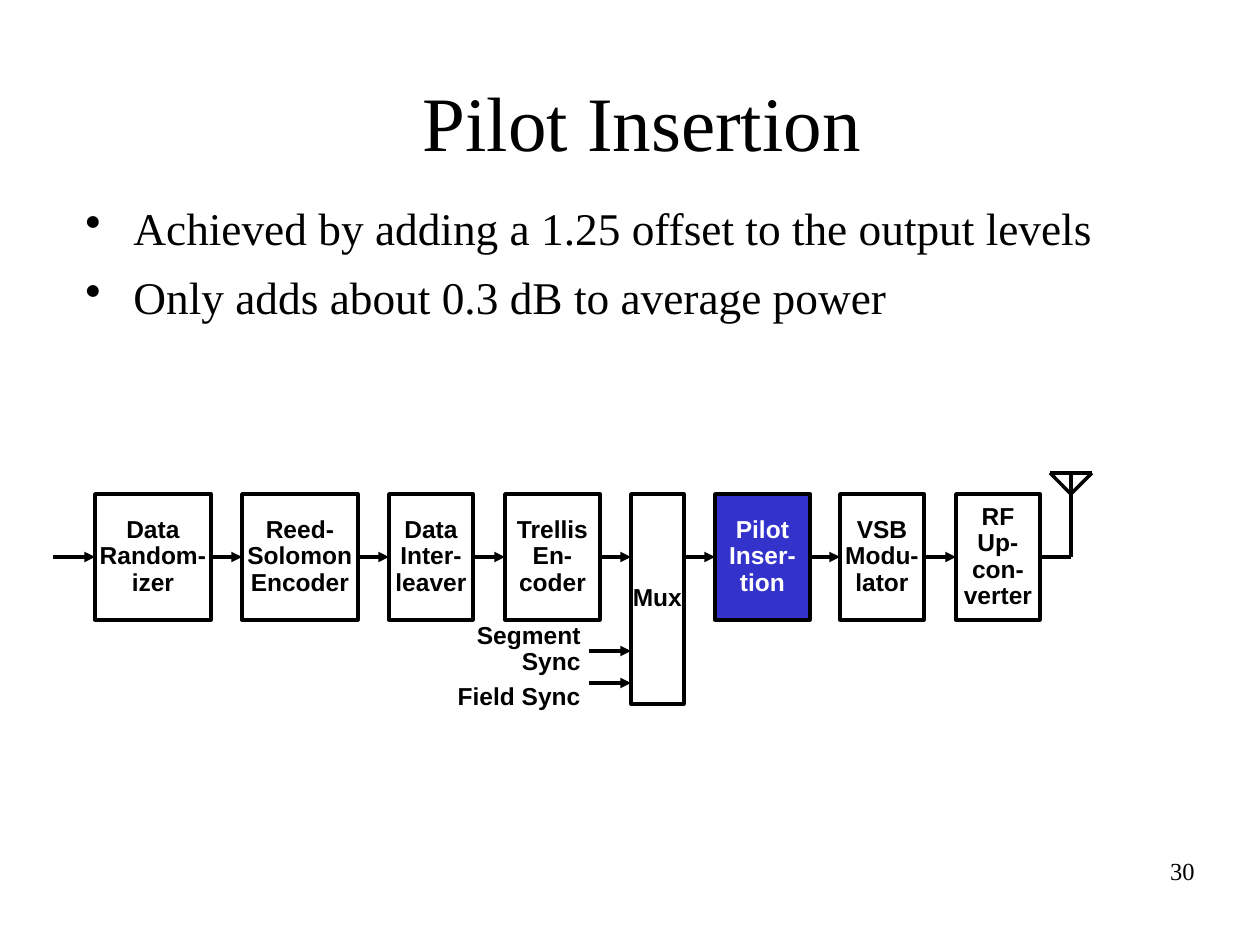
"""Build the Pilot Insertion slide with its transmitter block diagram."""
import lxml.etree
import pptx
import pptx.dml.color
import pptx.enum.shapes
import pptx.enum.text
import pptx.oxml.ns
import pptx.util

PX = 7257
BLACK, WHITE, BLUE = "000000", "FFFFFF", "3333CC"
SERIF, SANS = "Times New Roman", "Arial"
ALIGN = pptx.enum.text.PP_ALIGN
MIDDLE = pptx.enum.text.MSO_ANCHOR.MIDDLE
colour = pptx.dml.color.RGBColor.from_string
qn = pptx.oxml.ns.qn


def write(frame, lines, size, font, align, ink=BLACK, bold=False, spacing=None, gap=0):
    for index, line in enumerate(lines):
        para = frame.paragraphs[0] if index == 0 else frame.add_paragraph()
        para.alignment = align
        para.line_spacing = spacing
        if index and gap:
            para.space_before = pptx.util.Pt(gap)
        span = para.add_run()
        span.text = line
        span.font.size = pptx.util.Pt(size)
        span.font.name = font
        span.font.bold = bold
        span.font.color.rgb = colour(ink)


def draw_line(x1, y1, x2, y2, arrow=False):
    line = page.shapes.add_connector(
        pptx.enum.shapes.MSO_CONNECTOR.STRAIGHT, x1 * PX, y1 * PX, x2 * PX, y2 * PX)
    line.line.width = pptx.util.Pt(2)
    line.line.color.rgb = colour(BLACK)
    if arrow:
        lxml.etree.SubElement(line.line._get_or_add_ln(), qn("a:tailEnd"), type="triangle")
    lxml.etree.SubElement(line._element.spPr, qn("a:effectLst"))


deck = pptx.Presentation()
deck.slide_width = pptx.util.Inches(10)
deck.slide_height = pptx.util.Inches(7.5)
page = deck.slides.add_slide(deck.slide_layouts[6])

title = page.shapes.add_textbox(53 * PX, 42 * PX, 1178 * PX, 158 * PX).text_frame
title.word_wrap = True
title.vertical_anchor = MIDDLE
write(title, ["Pilot Insertion"], 44, SERIF, ALIGN.CENTER)

body = page.shapes.add_textbox(73 * PX, 189 * PX, 1103 * PX, 158 * PX).text_frame
body.word_wrap = True
body.margin_top = 11 * PX
write(body, ["Achieved by adding a 1.25 offset to the output levels",
             "Only adds about 0.3 dB to average power"], 25.9, SERIF, ALIGN.LEFT, gap=8.5)
for para in body.paragraphs:
    properties = para._p.get_or_add_pPr()
    properties.set("marL", str(48 * PX))
    properties.set("indent", str(-48 * PX))
    lxml.etree.SubElement(properties, qn("a:buChar"), char="•")

top, middle = 494, 557
blocks = [
    (95, 116, 126, 42, ["Data", "Random-", "izer"]),
    (242, 116, 126, 31, ["Reed-", "Solomon", "Encoder"]),
    (389, 84, 126, 31, ["Data", "Inter-", "leaver"]),
    (505, 95, 126, 42, ["Trellis", "En-", "coder"]),
    (631, 53, 210, 42, ["Mux"]),
    (715, 95, 126, 42, ["Pilot", "Inser-", "tion"]),
    (840, 84, 126, 42, ["VSB", "Modu-", "lator"]),
    (956, 84, 126, 42, ["RF", "Up-", "con-", "verter"]),
]
for left, width, height, reach, words in blocks:
    draw_line(left - reach, middle, left, middle, arrow=True)
draw_line(1029, middle, 1071, middle)

for left, width, height, reach, words in blocks:
    active = words[0] == "Pilot"
    block = page.shapes.add_shape(
        pptx.enum.shapes.MSO_SHAPE.RECTANGLE, left * PX, top * PX, width * PX, height * PX)
    block.shadow.inherit = False
    block.fill.solid()
    block.fill.fore_color.rgb = colour(BLUE if active else WHITE)
    block.line.color.rgb = colour(BLACK)
    block.line.width = pptx.util.Pt(2)
    block.text_frame.word_wrap = False
    block.text_frame.vertical_anchor = MIDDLE
    write(block.text_frame, words, 14, SANS, ALIGN.CENTER,
          WHITE if active else BLACK, bold=True, spacing=0.9)

for sync_y in (651, 683):
    draw_line(589, sync_y, 631, sync_y, arrow=True)

for antenna in ((1050, 473, 1071, 494), (1092, 473, 1071, 494),
                (1050, 473, 1092, 473), (1071, middle, 1071, 473)):
    draw_line(*antenna)

sync = page.shapes.add_textbox(399 * PX, 630 * PX, 194 * PX, 74 * PX).text_frame
sync.word_wrap = False
sync.vertical_anchor = MIDDLE
write(sync, ["Segment Sync", "Field Sync"], 14, SANS, ALIGN.RIGHT,
      bold=True, spacing=0.9, gap=5)

number = page.shapes.add_textbox(945 * PX, 850 * PX, 262 * PX, 63 * PX).text_frame
number.word_wrap = True
write(number, ["30"], 14, SERIF, ALIGN.RIGHT)

deck.save("out.pptx")
